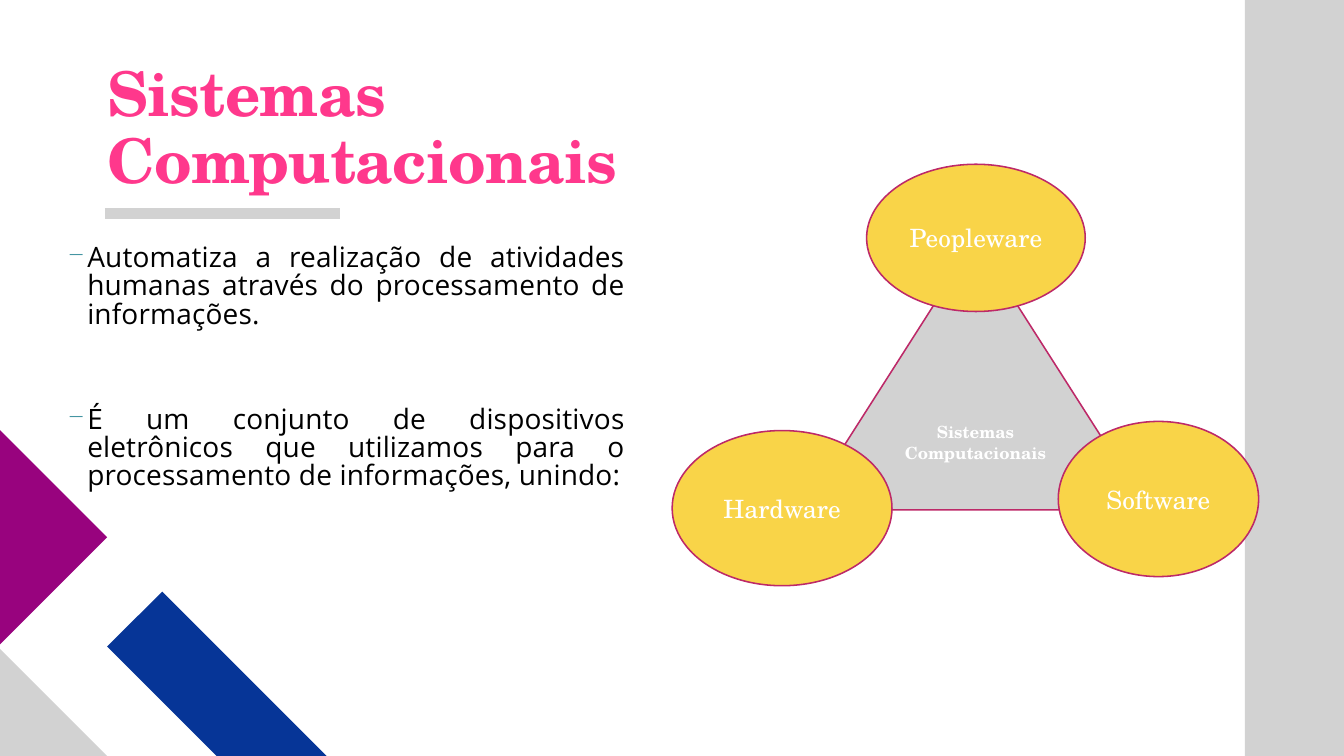
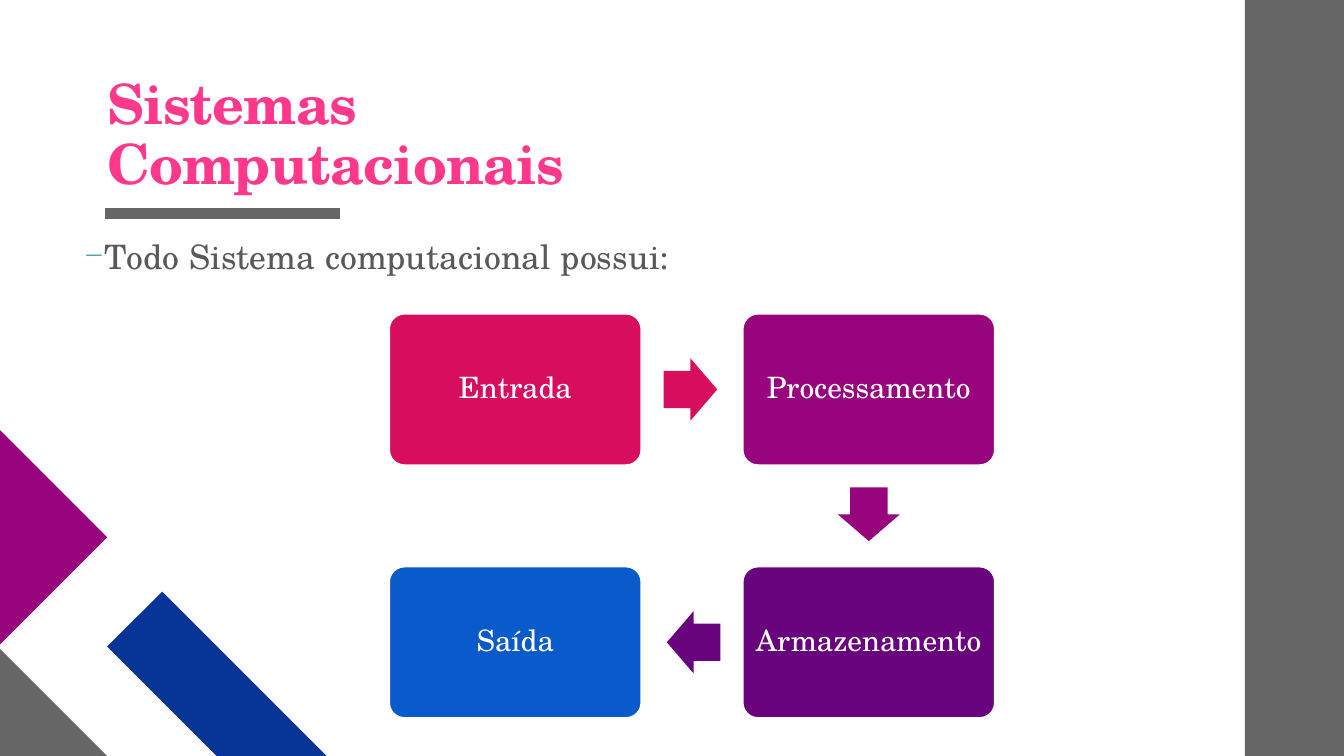
from math import atan2, copysign, degrees

from lxml.etree import SubElement
from pptx import Presentation
from pptx.dml.color import RGBColor
from pptx.enum.shapes import MSO_CONNECTOR, MSO_SHAPE
from pptx.enum.text import MSO_ANCHOR, MSO_AUTO_SIZE, PP_ALIGN
from pptx.oxml.ns import qn
from pptx.util import Cm, Pt

WIDTH, HEIGHT = 33.87, 19.05
SERIF, SANS = "TeX Gyre Schola", "Open Sans"
WHITE, BLACK, TEXT_GREY = "FFFFFF", "000000", "595959"
LIGHT, DARK = "D2D2D2", "666666"
PINK, RASPBERRY, TEAL, YELLOW = "FF388C", "BD2968", "4495A2", "F9D448"
CRIMSON, MAGENTA, VIOLET = "D70D5E", "98037E", "68027D"
BLUE, NAVY = "095ACA", "063597"
TITLE = "Sistemas Computacionais"


def color(hex_code):
    return RGBColor.from_string(hex_code)


def add_text(tf, text, first=True, size=18, font=SERIF, fill=WHITE, bold=False,
             align=PP_ALIGN.CENTER, line=1.0, before=0, after=0, spacing=0):
    """Write one paragraph; the first one uses the frame's own paragraph."""
    p = tf.paragraphs[0] if first else tf.add_paragraph()
    p.alignment, p.line_spacing = align, line
    p.space_before, p.space_after = Pt(before), Pt(after)
    r = p.add_run()
    r.text = text
    r.font.name, r.font.size, r.font.bold = font, Pt(size), bold
    r.font.color.rgb = color(fill)
    if spacing:
        r.font._element.set("spc", str(round(spacing * 100)))
    return p


def add_bullet(p):
    pPr = p._p.get_or_add_pPr()
    pPr.set("marL", str(Cm(0.5)))
    pPr.set("indent", str(-Cm(0.5)))
    SubElement(SubElement(pPr, qn("a:buClr")), qn("a:srgbClr")).set("val", TEAL)
    SubElement(pPr, qn("a:buSzPct")).set("val", "80000")
    SubElement(pPr, qn("a:buChar")).set("char", "─")


def style(sp, fill, line=None):
    sp.shadow.inherit = False
    sp.fill.solid()
    sp.fill.fore_color.rgb = color(fill)
    if line:
        sp.line.color.rgb = color(line)
        sp.line.width = Pt(1.1)
    else:
        sp.line.fill.background()


def add_shape(s, kind, x, y, w, h, fill, line=None):
    sp = s.shapes.add_shape(kind, Cm(x), Cm(y), Cm(w), Cm(h))
    style(sp, fill, line)
    sp.text_frame.vertical_anchor = MSO_ANCHOR.MIDDLE
    return sp


def add_polygon(s, points, fill):
    start, *rest = [(Cm(x), Cm(y)) for x, y in points]
    builder = s.shapes.build_freeform(*start)
    builder.add_line_segments(rest, close=True)
    style(builder.convert_to_shape(), fill)


def add_decor(s, grey):
    """Right band, corner pieces and the rule under the title."""
    band = 31.37
    add_shape(s, MSO_SHAPE.RECTANGLE, band, 0, WIDTH - band, HEIGHT, grey)
    add_polygon(s, [(8.23, HEIGHT), (5.46, HEIGHT), (2.7, 16.29), (4.09, 14.91)], NAVY)
    add_polygon(s, [(2.7, HEIGHT), (0, HEIGHT), (0, 16.35)], grey)
    add_polygon(s, [(0, 10.84), (2.7, 13.54), (0, 16.24)], MAGENTA)
    rule = s.shapes.add_connector(MSO_CONNECTOR.STRAIGHT, Cm(2.64), Cm(5.38), Cm(8.58), Cm(5.38))
    rule.line.color.rgb = color(grey)
    rule.line.width = Pt(8)
    SubElement(rule._element.spPr, qn("a:effectLst"))


def add_slide(prs, grey, title_height, title_size):
    """Slide with decor and a title that stands on the rule."""
    s = prs.slides.add_slide(prs.slide_layouts[5])
    add_decor(s, grey)
    title = s.shapes.title
    title.left, title.top = Cm(2.7), Cm(4.95 - title_height)
    title.width, title.height = Cm(13.71), Cm(title_height)
    tf = title.text_frame
    tf.auto_size, tf.word_wrap = MSO_AUTO_SIZE.NONE, True
    tf.vertical_anchor = MSO_ANCHOR.BOTTOM
    tf.margin_left = tf.margin_top = tf.margin_right = tf.margin_bottom = 0
    add_text(tf, TITLE, size=title_size, fill=PINK, bold=True,
             align=PP_ALIGN.LEFT, line=0.9, spacing=-0.5)
    return s


def add_body(s, x, y, w, h, texts, gap=14, **fmt):
    """Dashed list with a gap in points before each later paragraph."""
    tf = s.shapes.add_textbox(Cm(x), Cm(y), Cm(w), Cm(h)).text_frame
    tf.word_wrap = True
    for i, text in enumerate(texts):
        add_bullet(add_text(tf, text, first=i == 0, before=gap if i else 0,
                            after=2, spacing=0.1, **fmt))


def add_triangle_diagram(s, x, y):
    """Triangle with an ellipse on each corner."""
    core = add_shape(s, MSO_SHAPE.ISOSCELES_TRIANGLE, x + 3.3, y + 1.9, 8.69, 6.81, LIGHT, RASPBERRY)
    add_text(core.text_frame, TITLE, size=12, bold=True)
    for label, dx, dy, w, h in [("Peopleware", 4.9, 0, 5.51, 3.71),
                                ("Hardware", 0, 6.71, 5.54, 3.91),
                                ("Software", 9.73, 6.48, 5.05, 3.91)]:
        sp = add_shape(s, MSO_SHAPE.OVAL, x + dx, y + dy, w, h, YELLOW, RASPBERRY)
        add_text(sp.text_frame, label)


def add_flow(s, x, y):
    """Four steps, clockwise on a 2 x 2 grid, each with an arrow to the next."""
    w, h, gap = 6.35, 3.81, 2.56
    arrow_w, arrow_h, shift = 1.35, 1.57, 0.04
    steps = [("Entrada", CRIMSON, 0, 0), ("Processamento", MAGENTA, 1, 0),
             ("Armazenamento", VIOLET, 1, 1), ("Saída", BLUE, 0, 1)]
    centers = [(x + w / 2 + col * (w + gap), y + h / 2 + row * (h + gap))
               for _, _, col, row in steps]
    for i, (label, fill, _, _) in enumerate(steps):
        cx, cy = centers[i]
        sp = add_shape(s, MSO_SHAPE.ROUNDED_RECTANGLE, cx - w / 2, cy - h / 2, w, h, fill, WHITE)
        sp.adjustments[0] = 0.1
        sp.text_frame.word_wrap = False
        add_text(sp.text_frame, label, size=21, line=0.9)
        if i + 1 == len(steps):
            break
        # Arrow in the gap, slightly nearer to its own step
        nx, ny = centers[i + 1]
        dx, dy = nx - cx, ny - cy
        mx = (cx + nx) / 2 - (copysign(shift, dx) if dx else 0)
        my = (cy + ny) / 2 - (copysign(shift, dy) if dy else 0)
        arrow = add_shape(s, MSO_SHAPE.RIGHT_ARROW, mx - arrow_w / 2, my - arrow_h / 2,
                          arrow_w, arrow_h, fill)
        arrow.adjustments[0], arrow.adjustments[1] = 0.6, 0.5
        arrow.rotation = degrees(atan2(dy, dx))


def main():
    prs = Presentation()
    prs.slide_width, prs.slide_height = Cm(WIDTH), Cm(HEIGHT)

    # Definition and components
    s = add_slide(prs, LIGHT, title_height=3.37, title_size=44)
    add_body(s, 1.45, 6.05, 14.55, 12.5, [
        "Automatiza a realização de atividades humanas através do processamento de informações.",
        "É um conjunto de dispositivos eletrônicos que utilizamos para o processamento "
        "de informações, unindo:",
    ], gap=53, size=20, font=SANS, fill=BLACK, align=PP_ALIGN.JUSTIFY, line=0.84)
    add_triangle_diagram(s, 16.94, 4.14)

    # Processing steps
    s = add_slide(prs, DARK, title_height=1.7, title_size=39.6)
    add_body(s, 1.85, 5.89, 15.9, 1.7, ["Todo Sistema computacional possui:"],
             size=24, fill=TEXT_GREY, align=PP_ALIGN.LEFT, line=0.95)
    add_flow(s, 9.81, 7.91)

    prs.save("out.pptx")


if __name__ == "__main__":
    main()
